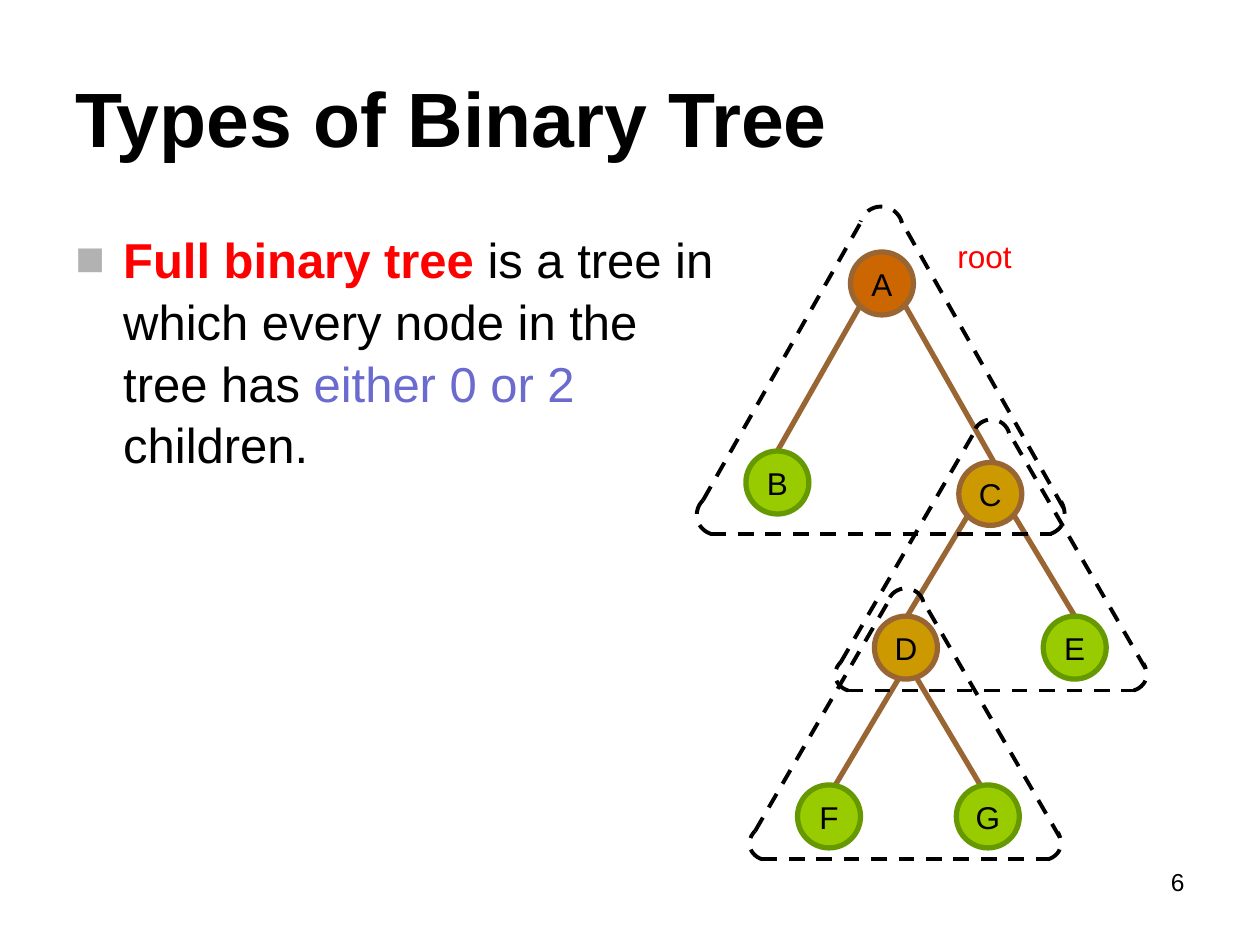
from pptx import Presentation
from pptx.dml.color import RGBColor as RGB
from pptx.enum.dml import MSO_LINE_DASH_STYLE as DASH
from pptx.enum.shapes import MSO_CONNECTOR as CONNECTOR, MSO_SHAPE as SHAPE
from pptx.enum.text import MSO_ANCHOR as ANCHOR, PP_ALIGN as ALIGN
from pptx.oxml import parse_xml
from pptx.oxml.ns import nsdecls
from pptx.util import Inches, Pt


class Theme:
    font = "Arial"
    title_size, body_size, label_size, number_size = 44, 28, 18, 14
    edge_width, outline_width = 3, 2.25
    black, red, violet, bullet = "000000", "FF0000", "6B6BCF", "B2B2B2"
    brown, green_line = "996633", "669900"
    root_fill, inner_fill, leaf_fill = "CC6600", "CC9900", "99CC00"


def write_text(shape, runs, size, align=ALIGN.LEFT, anchor=ANCHOR.TOP,
               wrap=True, bullet=None, spacing=None):
    """Fill a shape with one paragraph of (text, colour, bold) runs."""
    frame = shape.text_frame
    frame.word_wrap, frame.vertical_anchor = wrap, anchor
    paragraph = frame.paragraphs[0]
    paragraph.alignment = align
    if spacing:
        paragraph.line_spacing = spacing
    if bullet:
        props = paragraph._p.get_or_add_pPr()
        props.set("marL", str(Inches(0.38)))
        props.set("indent", str(-Inches(0.38)))
        for xml in (f'<a:buClr {nsdecls("a")}><a:srgbClr val="{Theme.bullet}"/></a:buClr>',
                    f'<a:buFont {nsdecls("a")} typeface="{Theme.font}"/>',
                    f'<a:buChar {nsdecls("a")} char="{bullet}"/>'):
            props.append(parse_xml(xml))
    for text, color, bold in runs:
        run = paragraph.add_run()
        run.text = text
        run.font.name, run.font.size, run.font.bold = Theme.font, Pt(size), bold
        run.font.color.rgb = RGB.from_string(color)


def draw_line(shapes, start, end, color, width, dash=None):
    """Draw a straight line between two points given in inches."""
    line = shapes.add_connector(CONNECTOR.STRAIGHT, *map(Inches, (*start, *end)))
    line.line.color.rgb = RGB.from_string(color)
    line.line.width = Pt(width)
    line.line.dash_style = dash
    line._element.spPr.append(parse_xml(f'<a:effectLst {nsdecls("a")}/>'))


prs = Presentation()
prs.slide_width, prs.slide_height = Inches(10), Inches(7.5)
slide = prs.slides.add_slide(prs.slide_layouts[5])
shapes = slide.shapes

# Title
title = shapes.title
title.left, title.top, title.width, title.height = map(Inches, (0.5, 0.3, 9, 1.25))
write_text(title, [("Types of Binary Tree", Theme.black, True)],
           Theme.title_size, anchor=ANCHOR.MIDDLE)

# Definition
definition = shapes.add_textbox(*map(Inches, (0.5, 1.75, 5.33, 4.95)))
write_text(definition, [
    ("Full binary tree ", Theme.red, True),
    ("is a tree in which every node in the tree has ", Theme.black, False),
    ("either 0 or 2 ", Theme.violet, False),
    ("children.", Theme.black, False),
], Theme.body_size, bullet="■", spacing=1.05)

# Root label and page number
root_label = shapes.add_textbox(*map(Inches, (7.5, 1.83, 0.95, 0.4)))
write_text(root_label, [("root", Theme.red, False)], Theme.label_size)
page_number = shapes.add_textbox(*map(Inches, (7.17, 6.83, 2.33, 0.52)))
write_text(page_number, [("6", Theme.black, False)], Theme.number_size, align=ALIGN.RIGHT)

# Edges from parent to child
edges = [
    ((6.83, 2.42), (6.17, 3.58)), ((7.18, 2.42), (7.89, 3.67)),  # A to B, C
    ((7.7, 4.06), (7.2, 4.89)), ((8.03, 4.06), (8.53, 4.89)),    # C to D, E
    ((7.13, 5.39), (6.63, 6.23)), ((7.28, 5.39), (7.78, 6.23)),  # D to F, G
]
for parent, child in edges:
    draw_line(shapes, parent, child, Theme.brown, Theme.edge_width)

# Nodes
root_style = (Theme.root_fill, Theme.brown)
inner_style = (Theme.inner_fill, Theme.brown)
leaf_style = (Theme.leaf_fill, Theme.green_line)
nodes = [
    ("A", 6.75, 2, root_style), ("B", 5.92, 3.58, leaf_style),
    ("C", 7.61, 3.67, inner_style), ("D", 6.94, 4.89, inner_style),
    ("E", 8.28, 4.89, leaf_style), ("F", 6.33, 6.23, leaf_style),
    ("G", 7.59, 6.23, leaf_style),
]
for letter, left, top, (fill, border) in nodes:
    node = shapes.add_shape(SHAPE.OVAL, *map(Inches, (left, top, 0.5, 0.5)))
    node.shadow.inherit = False
    node.fill.solid()
    node.fill.fore_color.rgb = RGB.from_string(fill)
    node.line.color.rgb = RGB.from_string(border)
    node.line.width = Pt(Theme.edge_width)
    write_text(node, [(letter, Theme.black, False)], Theme.label_size,
               align=ALIGN.CENTER, anchor=ANCHOR.MIDDLE, wrap=False)

# Rounded triangle, measured from its top left corner in a 2.92 by 2.6 frame
frame_width, frame_height = 2.92, 2.6
sides = [((0.11, 2.6), (2.82, 2.6)), ((0.05, 2.33), (1.31, 0.11)), ((2.91, 2.39), (1.62, 0.11))]
corners = [  # Bezier curves: start, two controls, end, two controls, end
    [(1.63, 0.13), (1.61, 0.05), (1.54, 0), (1.46, 0), (1.39, 0), (1.32, 0.05), (1.3, 0.12)],
    [(0.12, 2.6), (0.05, 2.58), (0, 2.52), (0, 2.45), (0, 2.4), (0.02, 2.36), (0.05, 2.33)],
    [(2.8, 2.6), (2.87, 2.58), (2.92, 2.52), (2.92, 2.45), (2.92, 2.41), (2.91, 2.37), (2.89, 2.34)],
]
curve_steps = 8

# Dashed outlines around the subtrees of A, C and D
for left, top, width, height in [(5.53, 1.64, 2.92, 2.6), (6.63, 3.33, 2.47, 2.15),
                                 (5.95, 4.67, 2.47, 2.15)]:
    outline = shapes.add_group_shape().shapes
    scale_x, scale_y = width / frame_width, height / frame_height
    for side in sides:
        start, end = [(left + x * scale_x, top + y * scale_y) for x, y in side]
        draw_line(outline, start, end, Theme.black, Theme.outline_width, DASH.DASH)
    for corner in corners:
        placed = [(Inches(left + x * scale_x), Inches(top + y * scale_y)) for x, y in corner]
        curve = []
        for first in (0, 3):
            for step in range(1, curve_steps + 1):
                t = step / curve_steps
                weights = ((1 - t) ** 3, 3 * t * (1 - t) ** 2, 3 * t * t * (1 - t), t ** 3)
                curve.append(tuple(
                    sum(w * point[axis] for w, point in zip(weights, placed[first:first + 4]))
                    for axis in (0, 1)))
        builder = outline.build_freeform(*placed[0])
        builder.add_line_segments(curve, close=False)
        arc = builder.convert_to_shape()
        arc.shadow.inherit = False
        arc.fill.background()
        arc.line.color.rgb = RGB.from_string(Theme.black)
        arc.line.width = Pt(Theme.outline_width)
        arc.line.dash_style = DASH.DASH

prs.save("out.pptx")
